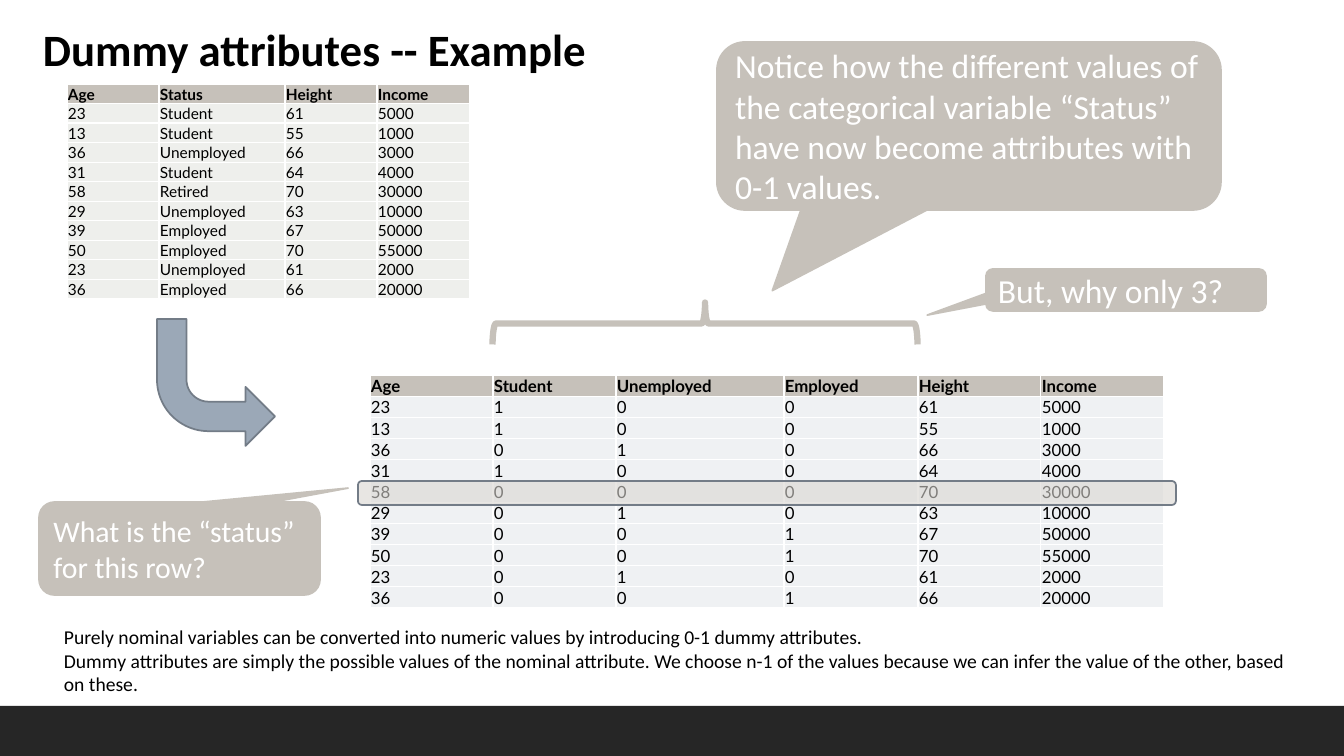
from dataclasses import dataclass

from lxml import etree
from pptx import Presentation
from pptx.dml.color import RGBColor
from pptx.enum.shapes import MSO_SHAPE
from pptx.enum.text import MSO_ANCHOR, MSO_AUTO_SIZE, PP_ALIGN
from pptx.oxml.ns import qn
from pptx.util import Pt

RECTANGLE = MSO_SHAPE.RECTANGLE
ROUNDED = MSO_SHAPE.ROUNDED_RECTANGLE
CALLOUT = MSO_SHAPE.ROUNDED_RECTANGULAR_CALLOUT
BENT_ARROW = MSO_SHAPE.BENT_ARROW
LEFT_BRACE = MSO_SHAPE.LEFT_BRACE
LEFT = PP_ALIGN.LEFT
MIDDLE = MSO_ANCHOR.MIDDLE
BOTTOM = MSO_ANCHOR.BOTTOM
GROW = MSO_AUTO_SIZE.SHAPE_TO_FIT_TEXT

EMU_PER_PX = 12192000 / 1344


@dataclass(frozen=True)
class Theme:
    font: str = "Calibri"
    table_font: str = "Lato"
    text: str = "000000"
    white: str = "FFFFFF"
    footer: str = "262626"
    sand: str = "C6C1BA"
    highlight: str = "D9D6D1"
    source_row: str = "EEEFEC"
    dummy_row: str = "EFF1F3"
    arrow: str = "9BA8B7"
    outline: str = "737C87"
    title_size: float = 32
    callout_size: float = 24
    question_size: float = 21.3
    note_size: float = 14
    source_size: float = 11
    dummy_size: float = 12
    outline_width: float = 1.25
    brace_width: float = 4.5


def px(length):
    return round(length * EMU_PER_PX)


def write(frame, text, *, size, color, font, bold=False):
    for index, line in enumerate(text.split("\n")):
        para = frame.paragraphs[0] if index == 0 else frame.add_paragraph()
        para.alignment = LEFT
        span = para.add_run()
        span.text = line
        span.font.size = Pt(size)
        span.font.name = font
        span.font.bold = bold
        span.font.color.rgb = RGBColor.from_string(color)


class SlideBuilder:
    def __init__(self, slide, theme):
        self.slide = slide
        self.theme = theme

    def shape(self, kind, left, top, width, height, *, fill=None, line=None,
              line_width=None, alpha=None, adjustments=()):
        shape = self.slide.shapes.add_shape(kind, px(left), px(top), px(width), px(height))
        shape.shadow.inherit = False
        for index, value in enumerate(adjustments):
            shape.adjustments[index] = value
        if fill:
            shape.fill.solid()
            shape.fill.fore_color.rgb = RGBColor.from_string(fill)
        else:
            shape.fill.background()
        if alpha:
            color = shape.element.spPr.find(qn("a:solidFill")).find(qn("a:srgbClr"))
            etree.SubElement(color, qn("a:alpha"), val=str(alpha * 1000))
        if line:
            shape.line.color.rgb = RGBColor.from_string(line)
            shape.line.width = Pt(line_width or self.theme.outline_width)
        else:
            shape.line.fill.background()
        return shape

    def callout(self, text, left, top, width, height, *, size, tip):
        theme = self.theme
        shape = self.shape(CALLOUT, left, top, width, height, fill=theme.sand,
                           line=theme.sand, adjustments=(*tip, 0.167))
        frame = shape.text_frame
        frame.word_wrap = True
        frame.vertical_anchor = MIDDLE
        write(frame, text, size=size, color=theme.white, font=theme.font)

    def text(self, text, left, top, width, height, *, size, bold=False, wrap=True):
        box = self.slide.shapes.add_textbox(px(left), px(top), px(width), px(height))
        frame = box.text_frame
        frame.word_wrap = wrap
        frame.auto_size = GROW
        write(frame, text, size=size, bold=bold, color=self.theme.text, font=self.theme.font)

    def borders(self, cell):
        properties = cell._tc.get_or_add_tcPr()
        for side in ("lnL", "lnR", "lnT", "lnB"):
            line = etree.SubElement(properties, qn(f"a:{side}"), w=str(Pt(1)))
            fill = etree.SubElement(line, qn("a:solidFill"))
            etree.SubElement(fill, qn("a:srgbClr"), val=self.theme.white)

    def table(self, rows, left, top, widths, *, row_height, size, body):
        theme = self.theme
        frame = self.slide.shapes.add_table(
            len(rows), len(widths), px(left), px(top), px(sum(widths)), px(row_height * len(rows)))
        table = frame.table
        table.first_row = False
        table.horz_banding = False
        for column, width in zip(table.columns, widths):
            column.width = px(width)
        for row_index, values in enumerate(rows):
            table.rows[row_index].height = px(row_height)
            header = row_index == 0
            for column_index, value in enumerate(values):
                cell = table.cell(row_index, column_index)
                cell.margin_left = cell.margin_right = cell.margin_top = px(1)
                cell.margin_bottom = 0
                cell.vertical_anchor = BOTTOM
                self.borders(cell)
                cell.fill.solid()
                cell.fill.fore_color.rgb = RGBColor.from_string(theme.sand if header else body)
                write(cell.text_frame, str(value), size=size, bold=header,
                      color=theme.text, font=theme.table_font)


PEOPLE = [
    (23, "Student", 61, 5000),
    (13, "Student", 55, 1000),
    (36, "Unemployed", 66, 3000),
    (31, "Student", 64, 4000),
    (58, "Retired", 70, 30000),
    (29, "Unemployed", 63, 10000),
    (39, "Employed", 67, 50000),
    (50, "Employed", 70, 55000),
    (23, "Unemployed", 61, 2000),
    (36, "Employed", 66, 20000),
]
DUMMIES = ("Student", "Unemployed", "Employed")


def main():
    deck = Presentation()
    deck.slide_width = px(1344)
    deck.slide_height = px(756)
    theme = Theme()
    page = SlideBuilder(deck.slides.add_slide(deck.slide_layouts[6]), theme)

    page.shape(RECTANGLE, 0, 706, 1344, 50, fill=theme.footer)
    page.text("Dummy attributes -- Example", 33, 17, 570, 64,
              size=theme.title_size, bold=True, wrap=False)

    source_rows = [("Age", "Status", "Height", "Income"), *PEOPLE]
    page.table(source_rows, 67, 84, (92, 126, 92, 93), row_height=19,
               size=theme.source_size, body=theme.source_row)

    dummy_rows = [("Age", *DUMMIES, "Height", "Income")]
    for age, status, height, income in PEOPLE:
        flags = (int(status == dummy) for dummy in DUMMIES)
        dummy_rows.append((age, *flags, height, income))
    page.table(dummy_rows, 370, 375, (123, 123, 168, 134, 123, 123), row_height=19,
               size=theme.dummy_size, body=theme.dummy_row)

    arrow = page.shape(BENT_ARROW, 157, 319, 118, 127, fill=theme.arrow, line=theme.outline)
    arrow.element.spPr.get_or_add_xfrm().set("flipV", "1")
    brace = page.shape(LEFT_BRACE, 684, 111, 42, 425, line=theme.sand,
                       line_width=theme.brace_width)
    brace.rotation = 90

    page.callout("Notice how the different values of the categorical variable “Status” "
                 "have now become attributes with 0-1 values.",
                 717, 42, 504, 168, size=theme.callout_size, tip=(-0.39, 0.98))
    page.callout("But, why only 3?", 986, 269, 280, 42,
                 size=theme.callout_size, tip=(-0.71, 0.6))
    page.shape(ROUNDED, 358, 481, 818, 24, fill=theme.highlight, alpha=59, line=theme.outline)
    page.callout("What is the “status” for this row?", 39, 502, 281, 93,
                 size=theme.question_size, tip=(0.6, -0.65))

    page.text("Purely nominal variables can be converted into numeric values by introducing "
              "0-1 dummy attributes.\n"
              "Dummy attributes are simply the possible values of the nominal attribute. "
              "We choose n-1 of the values because we can infer the value of the other, "
              "based on these.", 54, 620, 1262, 82, size=theme.note_size)
    deck.save("out.pptx")


if __name__ == "__main__":
    main()
